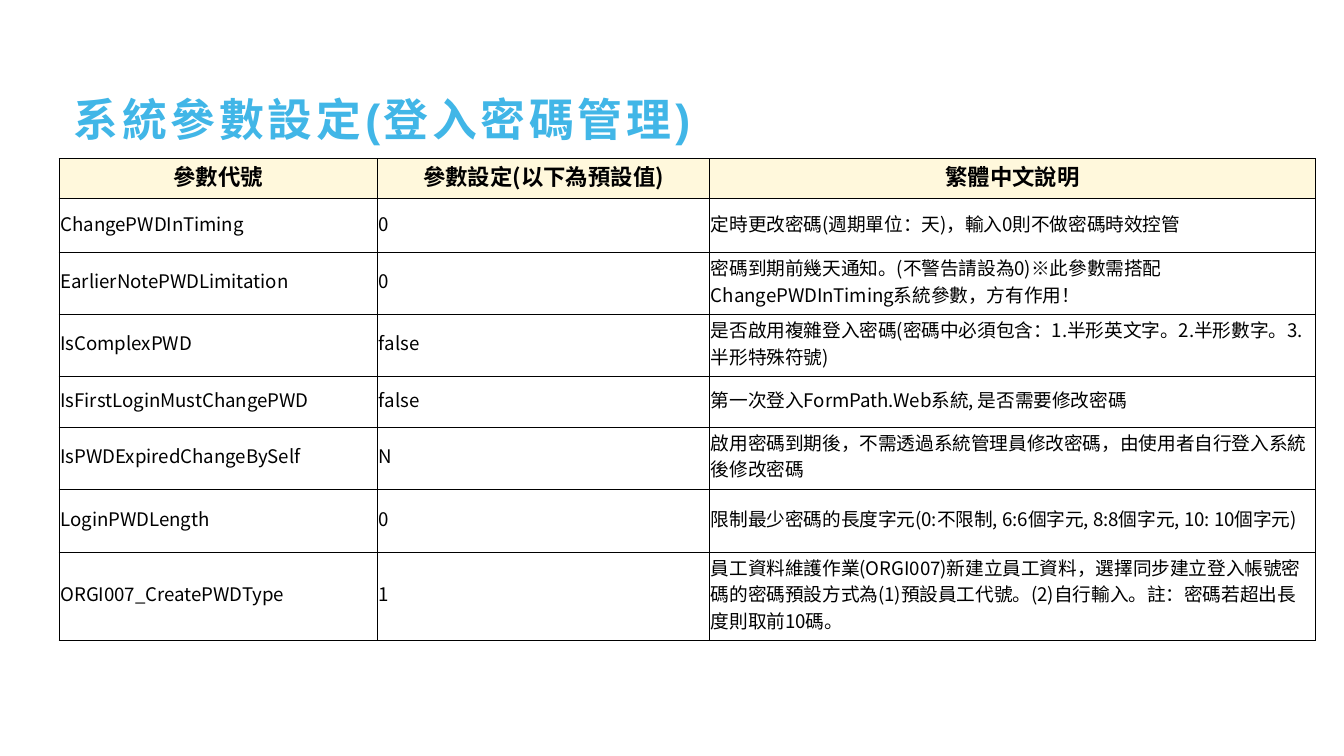
from lxml import etree
from pptx import Presentation
from pptx.dml.color import RGBColor
from pptx.enum.text import MSO_ANCHOR, PP_ALIGN
from pptx.oxml.ns import qn
from pptx.util import Inches, Pt

MIDDLE = MSO_ANCHOR.MIDDLE
LEFT, CENTER = PP_ALIGN.LEFT, PP_ALIGN.CENTER

HEADINGS = ("參數代號", "參數設定(以下為預設值)", "繁體中文說明")
PARAMETERS = (
    ("ChangePWDInTiming", "0",
     "定時更改密碼(週期單位：天)，輸入0則不做密碼時效控管"),
    ("EarlierNotePWDLimitation", "0",
     "密碼到期前幾天通知。(不警告請設為0)※此參數需搭配ChangePWDInTiming系統參數，方有作用！"),
    ("IsComplexPWD", "false",
     "是否啟用複雜登入密碼(密碼中必須包含：1.半形英文字。2.半形數字。3.半形特殊符號)"),
    ("IsFirstLoginMustChangePWD", "false",
     "第一次登入FormPath.Web系統, 是否需要修改密碼"),
    ("IsPWDExpiredChangeBySelf", "N",
     "啟用密碼到期後，不需透過系統管理員修改密碼，由使用者自行登入系統後修改密碼"),
    ("LoginPWDLength", "0",
     "限制最少密碼的長度字元(0:不限制, 6:6個字元, 8:8個字元, 10: 10個字元)"),
    ("ORGI007_CreatePWDType", "1",
     "員工資料維護作業(ORGI007)新建立員工資料，選擇同步建立登入帳號密碼的密碼預設方式為"
     "(1)預設員工代號。(2)自行輸入。註：密碼若超出長度則取前10碼。"),
)
COLUMN_WIDTHS = (2.37, 2.47, 4.51)
ROW_HEIGHTS = (0.3, 0.4, 0.46, 0.46, 0.38, 0.46, 0.47, 0.66)


def rgb(value):
    return RGBColor.from_string(value)


class ParameterSlide:
    title_font, table_font = "Arial", "Noto Sans CJK SC"
    title_color, ink, header_fill = "41B6E7", "000000", "FFF8DC"

    def __init__(self, slide):
        self.slide = slide

    def format_run(self, run, font, size, color, bold):
        run.font.name, run.font.size, run.font.bold = font, Pt(size), bold
        run.font.color.rgb = rgb(color)
        east_asian = etree.SubElement(run.font._element, qn("a:ea"))
        east_asian.set("typeface", font)

    def title(self, text, left, top, width, height):
        box = self.slide.shapes.add_textbox(
            Inches(left), Inches(top), Inches(width), Inches(height))
        frame = box.text_frame
        frame.word_wrap = True
        frame.vertical_anchor = MIDDLE
        frame.margin_left, frame.margin_right = Inches(0.11), Inches(0.08)
        frame.margin_top = frame.margin_bottom = Inches(0.04)
        frame.text = text
        run = frame.paragraphs[0].runs[0]
        self.format_run(run, self.title_font, 24, self.title_color, True)
        run.font._element.set("spc", "200")

    def borders(self, cell):
        properties = cell._tc.get_or_add_tcPr()
        for position, side in enumerate(("a:lnL", "a:lnR", "a:lnT", "a:lnB")):
            line = etree.Element(qn(side), w=str(Pt(0.5)))
            fill = etree.SubElement(line, qn("a:solidFill"))
            etree.SubElement(fill, qn("a:srgbClr"), val=self.ink)
            properties.insert(position, line)

    def cell(self, cell, text, is_header):
        cell.vertical_anchor = MIDDLE
        cell.margin_left = cell.margin_right = cell.margin_top = Inches(0.01)
        cell.margin_bottom = Inches(0.05)
        if is_header:
            cell.fill.solid()
            cell.fill.fore_color.rgb = rgb(self.header_fill)
        else:
            cell.fill.background()
        self.borders(cell)
        cell.text_frame.text = text
        paragraph = cell.text_frame.paragraphs[0]
        paragraph.alignment = CENTER if is_header else LEFT
        self.format_run(paragraph.runs[0], self.table_font,
                        12 if is_header else 10, self.ink, is_header)

    def table(self, rows, left, top, widths, heights):
        table = self.slide.shapes.add_table(
            len(rows), len(widths), Inches(left), Inches(top),
            Inches(sum(widths)), Inches(sum(heights))).table
        table.horz_banding = False
        for column, width in zip(table.columns, widths):
            column.width = Inches(width)
        for r, (texts, height) in enumerate(zip(rows, heights)):
            table.rows[r].height = Inches(height)
            for c, text in enumerate(texts):
                self.cell(table.cell(r, c), text, r == 0)


def main():
    deck = Presentation()
    # Widescreen 16:9
    deck.slide_width, deck.slide_height = Inches(10), Inches(10 * 9 / 16)
    page = ParameterSlide(deck.slides.add_slide(deck.slide_layouts[6]))

    # Title
    page.title("系統參數設定(登入密碼管理)", 0.44, 0.59, 9.15, 0.59)

    # Login password parameters
    page.table((HEADINGS, *PARAMETERS), 0.44, 1.18, COLUMN_WIDTHS, ROW_HEIGHTS)

    deck.save("out.pptx")


if __name__ == "__main__":
    main()
